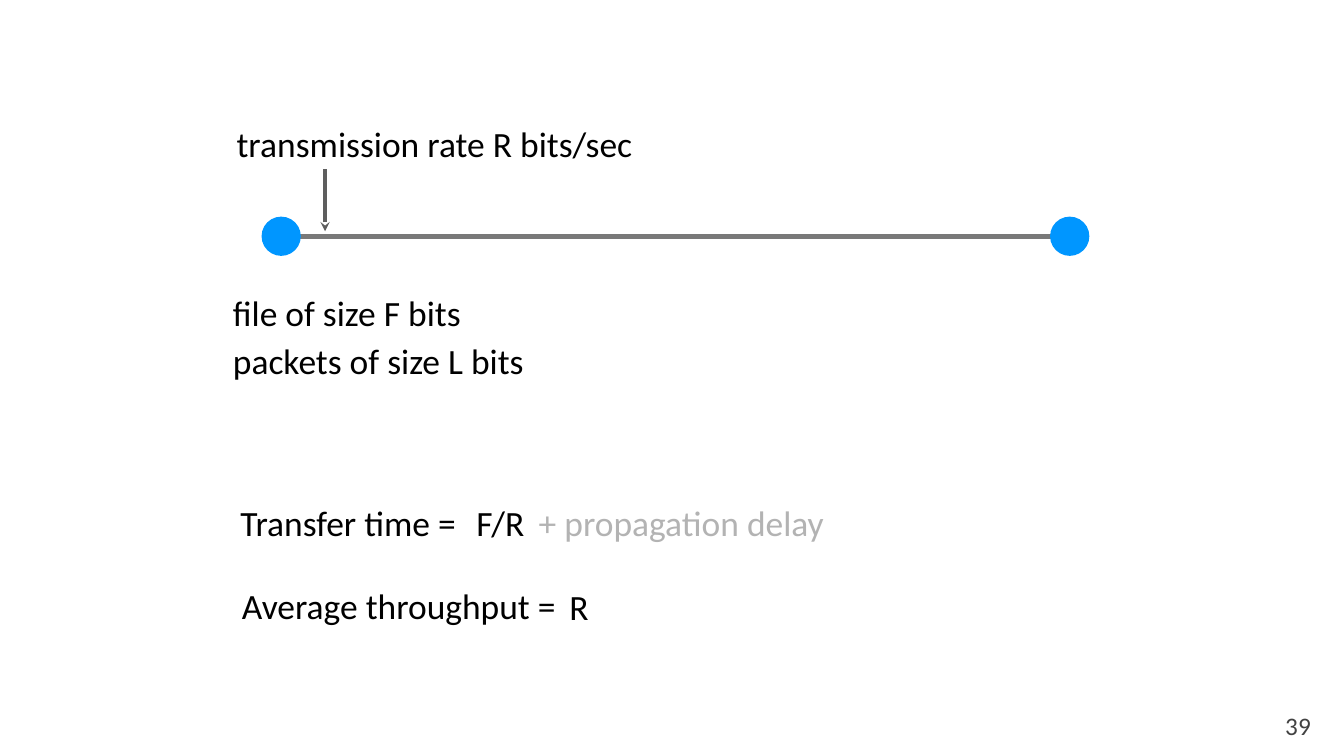
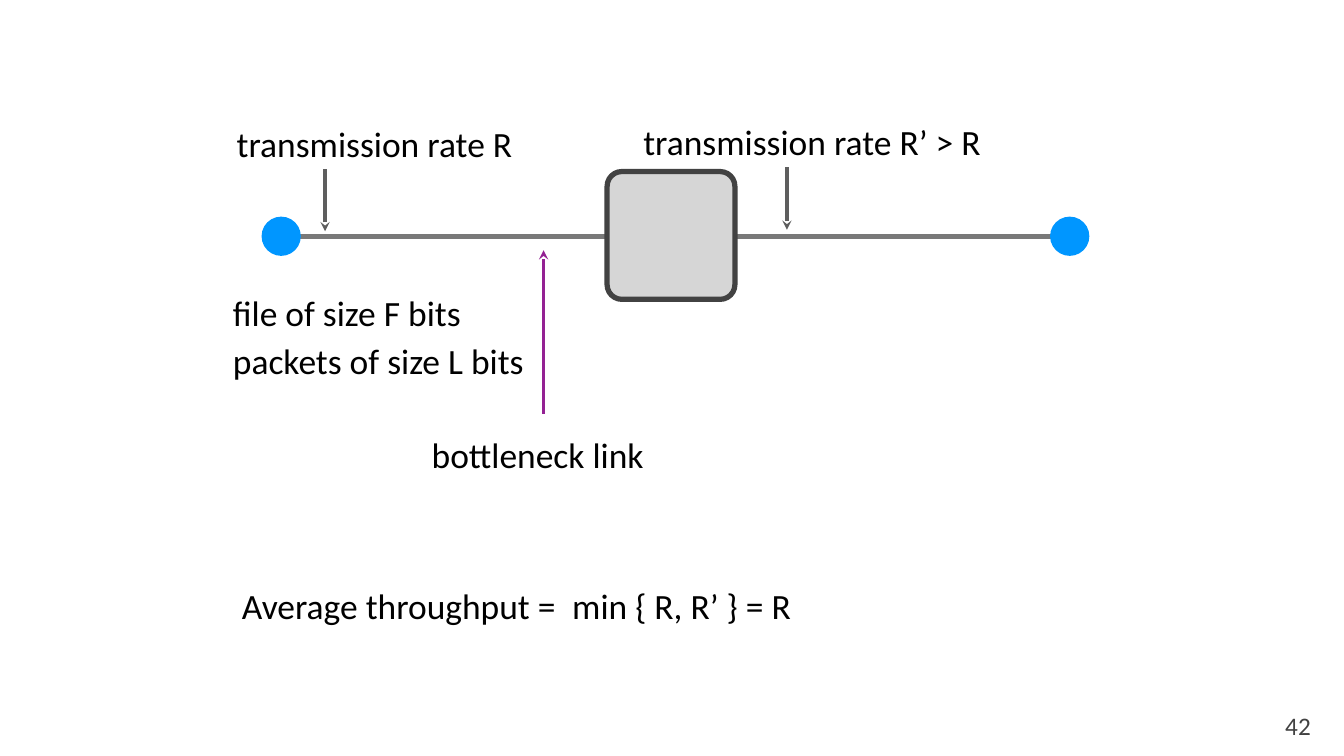
from typing import NamedTuple

from lxml.etree import SubElement
from pptx import Presentation
from pptx.dml.color import RGBColor
from pptx.enum.shapes import MSO_CONNECTOR, MSO_SHAPE
from pptx.enum.text import MSO_ANCHOR, MSO_AUTO_SIZE, PP_ALIGN
from pptx.oxml.ns import qn
from pptx.util import Pt

BLACK, WHITE = "000000", "FFFFFF"
NODE, LINK, POINTER = "0096FF", "797979", "5E5E5E"
SWITCH, DARK, BOTTLENECK = "D6D6D6", "424242", "942193"
NODE_SIZE, SWITCH_SIZE = 37.4, 121.7
TEXT_HEIGHT, FILE_PITCH, RESULT_PITCH = 48.2, 46.1, 78.4

BODY_FORMAT = {"inset": 3.6, "wrap": True, "anchor": MSO_ANCHOR.MIDDLE,
               "align": PP_ALIGN.LEFT, "size": 33.8, "color": BLACK}
NUMBER_FORMAT = {"inset": 0, "wrap": False, "anchor": MSO_ANCHOR.TOP,
                 "align": PP_ALIGN.CENTER, "size": 24, "color": DARK}


class Box(NamedTuple):
    """Hold a region in points."""
    left: float
    top: float
    width: float
    height: float

    def inner(self, dx, dy, width, height=TEXT_HEIGHT):
        """Return a box offset from this one's top left corner."""
        return Box(self.left + dx, self.top + dy, width, height)


LINK_BOX = Box(221.8, 110.9, 816, 175)
FILE_BOX = Box(218.2, 272.9, 291.6, 94.3)
BOTTLENECK_BOX = Box(407.5, 238.3, 221, 218.9)
RESULT_BOX = Box(225.4, 473.8, 600, 126.6)
NUMBER_BOX = Box(1224, 676.1, 24.5, 28.8)


def rgb(code):
    """Turn a hex string into a colour."""
    return RGBColor.from_string(code)


def add_text(slide, box, words, style=BODY_FORMAT, tab=None):
    """Write one line of text, with an optional tab stop in points."""
    frame = slide.shapes.add_textbox(*map(Pt, box)).text_frame
    inset = Pt(style["inset"])
    frame_format = {"margin_left": inset, "margin_right": inset,
                    "margin_top": inset, "margin_bottom": inset,
                    "word_wrap": style["wrap"], "vertical_anchor": style["anchor"],
                    "auto_size": MSO_AUTO_SIZE.SHAPE_TO_FIT_TEXT}
    for name, value in frame_format.items():
        setattr(frame, name, value)
    line = frame.paragraphs[0]
    line.alignment = style["align"]
    if tab:
        stops = SubElement(line._p.get_or_add_pPr(), qn("a:tabLst"))
        SubElement(stops, qn("a:tab"), pos=str(Pt(tab)), algn="l")
    run = line.add_run()
    run.text = words
    for name, value in {"name": "Calibri", "size": Pt(style["size"])}.items():
        setattr(run.font, name, value)
    run.font.color.rgb = rgb(style["color"])


def add_figure(slide, kind, box, fill, outline=None):
    """Draw a filled preset shape, outlined on request."""
    figure = slide.shapes.add_shape(kind, *map(Pt, box))
    figure.shadow.inherit = False
    figure.fill.solid()
    figure.fill.fore_color.rgb = rgb(fill)
    if outline:
        figure.line.color.rgb = rgb(outline)
        figure.line.width = Pt(5)
    else:
        figure.line.fill.background()
    return figure


def add_line(slide, start, end, color, width, arrow=False):
    """Draw a straight line, with an optional arrowhead at its start."""
    line = slide.shapes.add_connector(
        MSO_CONNECTOR.STRAIGHT, *map(Pt, (*start, *end)))
    line.line.color.rgb = rgb(color)
    line.line.width = Pt(width)
    outline = line._element.spPr
    if arrow:
        SubElement(outline.find(qn("a:ln")), qn("a:headEnd"), type="stealth")
    SubElement(outline, qn("a:effectLst"))


def add_rate(slide, box, rate, pointer_dx):
    """Label a link with its rate and point down at it."""
    add_text(slide, box, rate)
    x = box.left + pointer_dx
    add_line(slide, (x, box.top + 108), (x, box.top + 48.2), POINTER, 3, True)


def draw_link(slide, box, rate, rate_width, far_rate=None):
    """Draw two nodes and their link, split by a switch if the far rate differs."""
    y = box.top + 114.1
    ends = [box.left + 46, box.left + 797]
    add_line(slide, (ends[0], y), (ends[1], y), LINK, 5)
    for x in ends:
        add_figure(slide, MSO_SHAPE.OVAL,
                   Box(x - NODE_SIZE / 2, y - NODE_SIZE / 2, NODE_SIZE, NODE_SIZE), NODE)
    add_rate(slide, box.inner(0, 1.4, rate_width), rate, 87.8)
    if far_rate:
        switch = add_figure(slide, MSO_SHAPE.ROUNDED_RECTANGLE,
                            box.inner(356.4, 52.5, SWITCH_SIZE, SWITCH_SIZE), SWITCH, DARK)
        switch.adjustments[0] = 0.115
        add_rate(slide, box.inner(387.3, 0, 332.6), far_rate, 140.4)


def draw_file(slide, box):
    """List the file size and the packet size."""
    for row, size in enumerate(["file of size F bits", "packets of size L bits"]):
        add_text(slide, box.inner(0, row * FILE_PITCH, box.width), size)


def draw_bottleneck(slide, box):
    """Point up at the slower link and name it."""
    x = box.left + 110.2
    add_line(slide, (x, box.top), (x, box.top + 156.3), BOTTLENECK, 3, True)
    add_text(slide, box.inner(0, 170.7, box.width), "bottleneck link")


def draw_transfer_time(slide, box):
    """State the transfer time, with the propagation delay faded by a veil."""
    add_text(slide, box.inner(224.6, 0, 359.3), "F/R\t+ propagation delay", tab=59.5)
    veil = add_figure(slide, MSO_SHAPE.RECTANGLE,
                      box.inner(284.4, -21.6, 313.2, 93.6), WHITE)
    tint = veil._element.spPr.find(qn("a:solidFill"))[0]
    SubElement(tint, qn("a:alpha"), val="70000")
    add_text(slide, box.inner(0, 0, 286.6), "Transfer time =")


def draw_throughput(slide, box, value, value_box):
    """State the average throughput."""
    add_text(slide, box.inner(1.4, RESULT_PITCH, 316.8), "Average throughput =")
    add_text(slide, value_box, value)


def draw_number(slide, box, number):
    """Write the slide number."""
    add_text(slide, box, str(number), NUMBER_FORMAT)


def build_single_link(slide):
    """Build the slide with one link."""
    draw_link(slide, LINK_BOX, "transmission rate R bits/sec", 400.3)
    draw_file(slide, FILE_BOX)
    draw_transfer_time(slide, RESULT_BOX)
    draw_throughput(slide, RESULT_BOX, "R",
                    RESULT_BOX.inner(313.2, RESULT_PITCH + 1.4, 37.4))
    draw_number(slide, NUMBER_BOX, 39)


def build_two_links(slide):
    """Build the slide with two links and a bottleneck."""
    draw_link(slide, LINK_BOX, "transmission rate R", 277.2, "transmission rate R’ > R")
    draw_file(slide, FILE_BOX)
    draw_bottleneck(slide, BOTTLENECK_BOX)
    draw_throughput(slide, RESULT_BOX, "min { R, R’ } = R",
                    RESULT_BOX.inner(316, RESULT_PITCH, 255.6))
    draw_number(slide, NUMBER_BOX, 42)


def main():
    """Build and save the presentation."""
    deck = Presentation()
    deck.slide_width, deck.slide_height = Pt(1280), Pt(720)
    for build in (build_single_link, build_two_links):
        build(deck.slides.add_slide(deck.slide_layouts[6]))
    deck.save("out.pptx")


if __name__ == "__main__":
    main()
